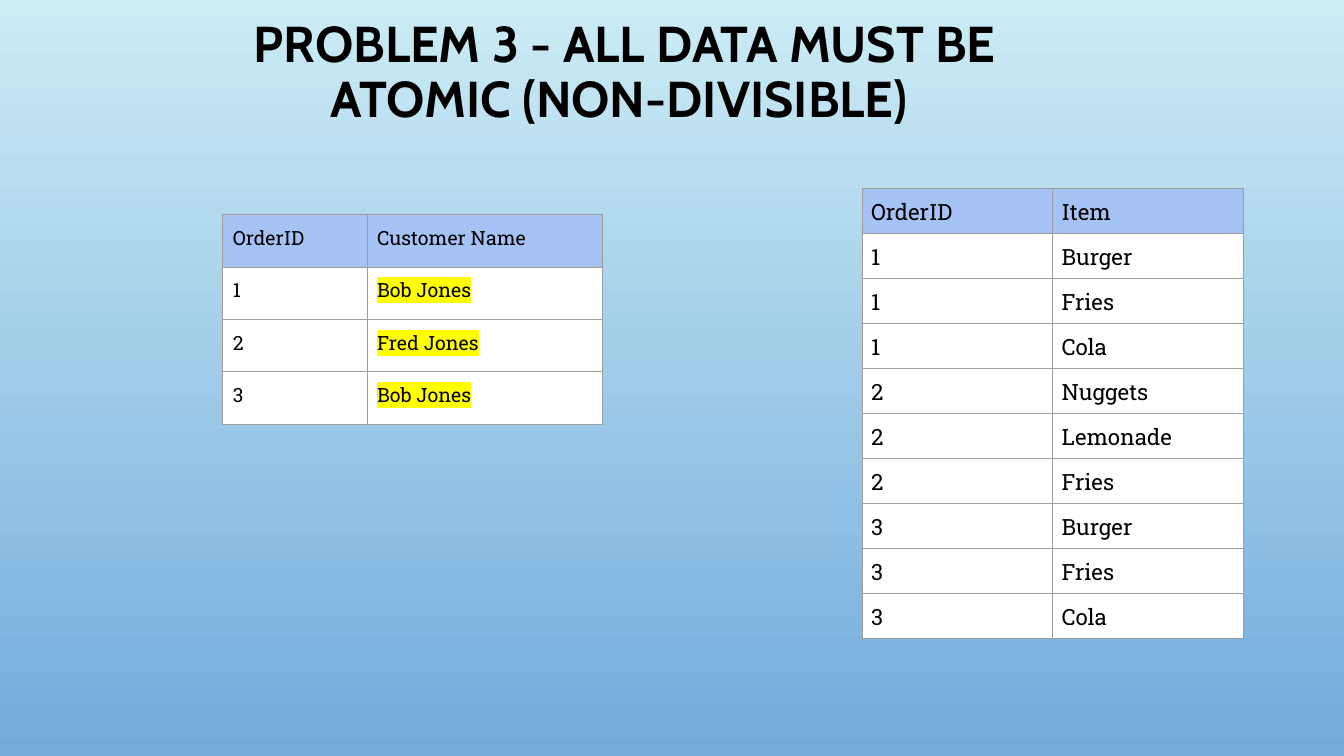
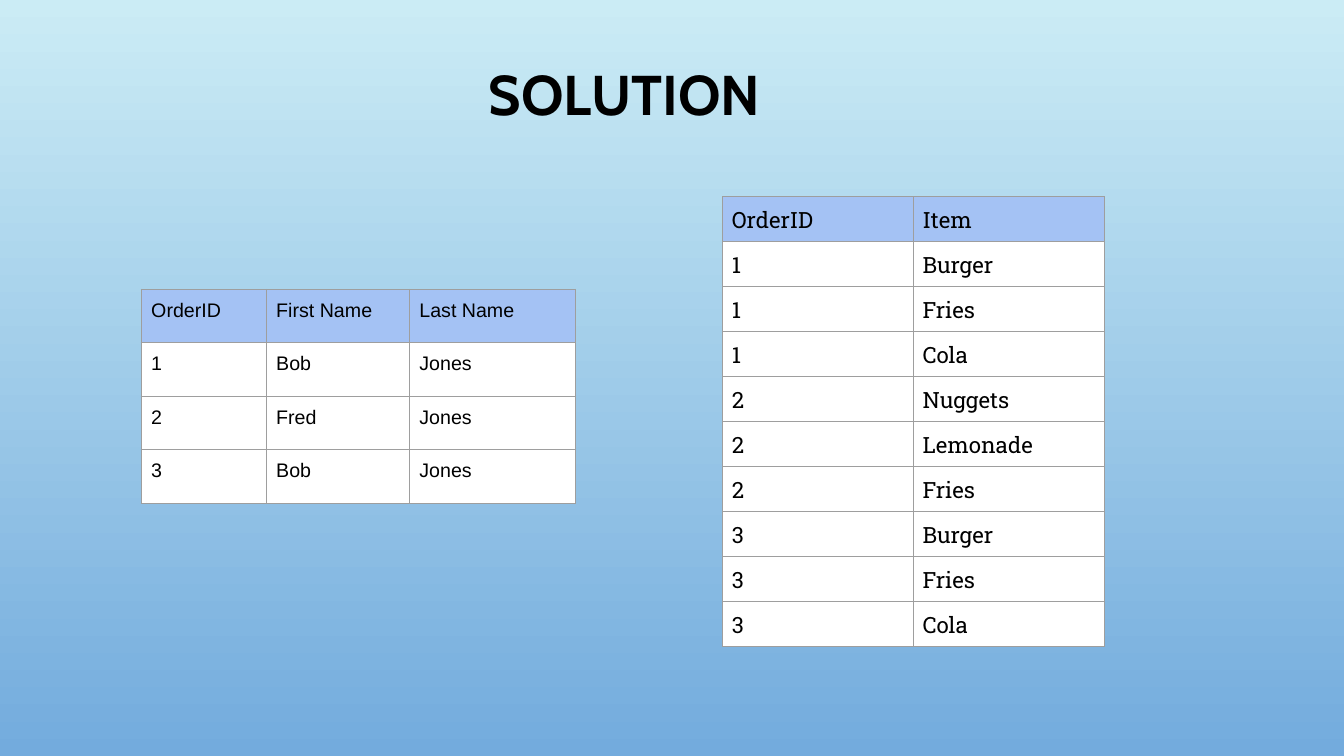
from dataclasses import dataclass
from typing import Optional

import pptx
import pptx.dml.color
import pptx.enum.text
import pptx.oxml
import pptx.oxml.ns
import pptx.presentation
import pptx.slide
import pptx.table
import pptx.text.text
import pptx.util

Inches = pptx.util.Inches
Pt = pptx.util.Pt
RGB = pptx.dml.color.RGBColor.from_string


@dataclass(frozen=True)
class Theme:
    bg_top: str = "CBECF5"
    bg_bottom: str = "73ABDD"
    text: str = "000000"
    header: str = "A4C2F4"
    body: str = "FFFFFF"
    border: str = "9E9E9E"
    highlight: str = "FFFF00"
    title_font: str = "Cabin"
    slab_font: str = "Roboto Slab"
    sans_font: str = "Arial"
    long_title_size: int = 36
    title_size: int = 40
    item_size: int = 16
    customer_size: int = 14
    border_width: float = 0.75


THEME = Theme()


@dataclass(frozen=True)
class TableSpec:
    rows: list[tuple[str, ...]]
    left: float
    top: float
    col_widths: tuple[float, ...]
    row_height: float
    inset: float
    font: str
    size: int
    highlight_col: Optional[int] = None


@dataclass(frozen=True)
class SlideSpec:
    title: str
    title_size: int
    tables: list[TableSpec]


ORDERS = {
    "1": ("Burger", "Fries", "Cola"),
    "2": ("Nuggets", "Lemonade", "Fries"),
    "3": ("Burger", "Fries", "Cola"),
}
CUSTOMERS = [("1", "Bob", "Jones"), ("2", "Fred", "Jones"), ("3", "Bob", "Jones")]


def items_table(left: float, top: float) -> TableSpec:
    rows = [("OrderID", "Item")]
    rows += [(order, item) for order, items in ORDERS.items() for item in items]
    return TableSpec(rows, left, top, (1.89, 1.89), 0.44, 0.09,
                     THEME.slab_font, THEME.item_size)


SLIDES = [
    SlideSpec("PROBLEM 3 - ALL DATA MUST BE ATOMIC (NON-DIVISIBLE) ", THEME.long_title_size, [
        items_table(8.55, 1.87),
        TableSpec([("OrderID", "Customer Name")]
                  + [(order, f"{first} {last}") for order, first, last in CUSTOMERS],
                  2.21, 2.13, (1.43, 2.34), 0.52, 0.1,
                  THEME.slab_font, THEME.customer_size, highlight_col=1),
    ]),
    SlideSpec("SOLUTION", THEME.title_size, [
        items_table(7.17, 1.95),
        TableSpec([("OrderID", "First Name", "Last Name")] + CUSTOMERS,
                  1.4, 2.87, (1.24, 1.42, 1.65), 0.53, 0.1,
                  THEME.sans_font, THEME.customer_size),
    ]),
]


def set_background(prs: pptx.presentation.Presentation) -> None:
    fill = prs.slide_master.background.fill
    fill.gradient()
    fill.gradient_angle = 270
    for stop, color in zip(fill.gradient_stops, (THEME.bg_top, THEME.bg_bottom)):
        stop.color.rgb = RGB(color)


def style_font(p: pptx.text.text._Paragraph, name: str, size: int, bold: bool = False) -> None:
    p.font.name = name
    p.font.size = Pt(size)
    p.font.bold = bold
    p.font.color.rgb = RGB(THEME.text)


def add_title(s: pptx.slide.Slide, text: str, size: int) -> None:
    tf = s.shapes.add_textbox(Inches(1.9), Inches(0.34), Inches(8.59), Inches(0.98)).text_frame
    tf.word_wrap = True
    tf.vertical_anchor = pptx.enum.text.MSO_ANCHOR.BOTTOM
    p = tf.paragraphs[0]
    p.text = text
    p.alignment = pptx.enum.text.PP_ALIGN.CENTER
    p.line_spacing = 0.9
    style_font(p, THEME.title_font, size, bold=True)


def add_borders(cell: pptx.table._Cell) -> None:
    """Outline the cell; call before filling it, as lines precede the fill in XML."""
    tc_pr = cell._tc.get_or_add_tcPr()
    for side in ("lnL", "lnR", "lnT", "lnB"):
        tc_pr.append(pptx.oxml.parse_xml(
            f'<a:{side} {pptx.oxml.ns.nsdecls("a")} w="{Pt(THEME.border_width)}">'
            f'<a:solidFill><a:srgbClr val="{THEME.border}"/></a:solidFill></a:{side}>'))


def highlight(r: pptx.text.text._Run) -> None:
    r._r.get_or_add_rPr().append(pptx.oxml.parse_xml(
        f'<a:highlight {pptx.oxml.ns.nsdecls("a")}>'
        f'<a:srgbClr val="{THEME.highlight}"/></a:highlight>'))


def add_data_table(s: pptx.slide.Slide, spec: TableSpec) -> None:
    table = s.shapes.add_table(
        len(spec.rows), len(spec.col_widths), Inches(spec.left), Inches(spec.top),
        Inches(sum(spec.col_widths)), Inches(spec.row_height * len(spec.rows))).table
    table.first_row = table.horz_banding = False
    for column, width in zip(table.columns, spec.col_widths):
        column.width = Inches(width)
    for i, row in enumerate(spec.rows):
        table.rows[i].height = Inches(spec.row_height)
        for j, text in enumerate(row):
            cell = table.cell(i, j)
            cell.margin_left = cell.margin_right = Inches(spec.inset)
            cell.margin_top = cell.margin_bottom = Inches(spec.inset)
            add_borders(cell)
            cell.fill.solid()
            cell.fill.fore_color.rgb = RGB(THEME.body if i else THEME.header)
            p = cell.text_frame.paragraphs[0]
            p.text = text
            style_font(p, spec.font, spec.size)
            if i and j == spec.highlight_col:
                highlight(p.runs[0])


def main() -> None:
    prs = pptx.Presentation()
    prs.slide_width, prs.slide_height = Inches(13.33), Inches(7.5)
    set_background(prs)
    for spec in SLIDES:
        s = prs.slides.add_slide(prs.slide_layouts[6])
        add_title(s, spec.title, spec.title_size)
        for table in spec.tables:
            add_data_table(s, table)
    prs.save("out.pptx")


if __name__ == "__main__":
    main()
